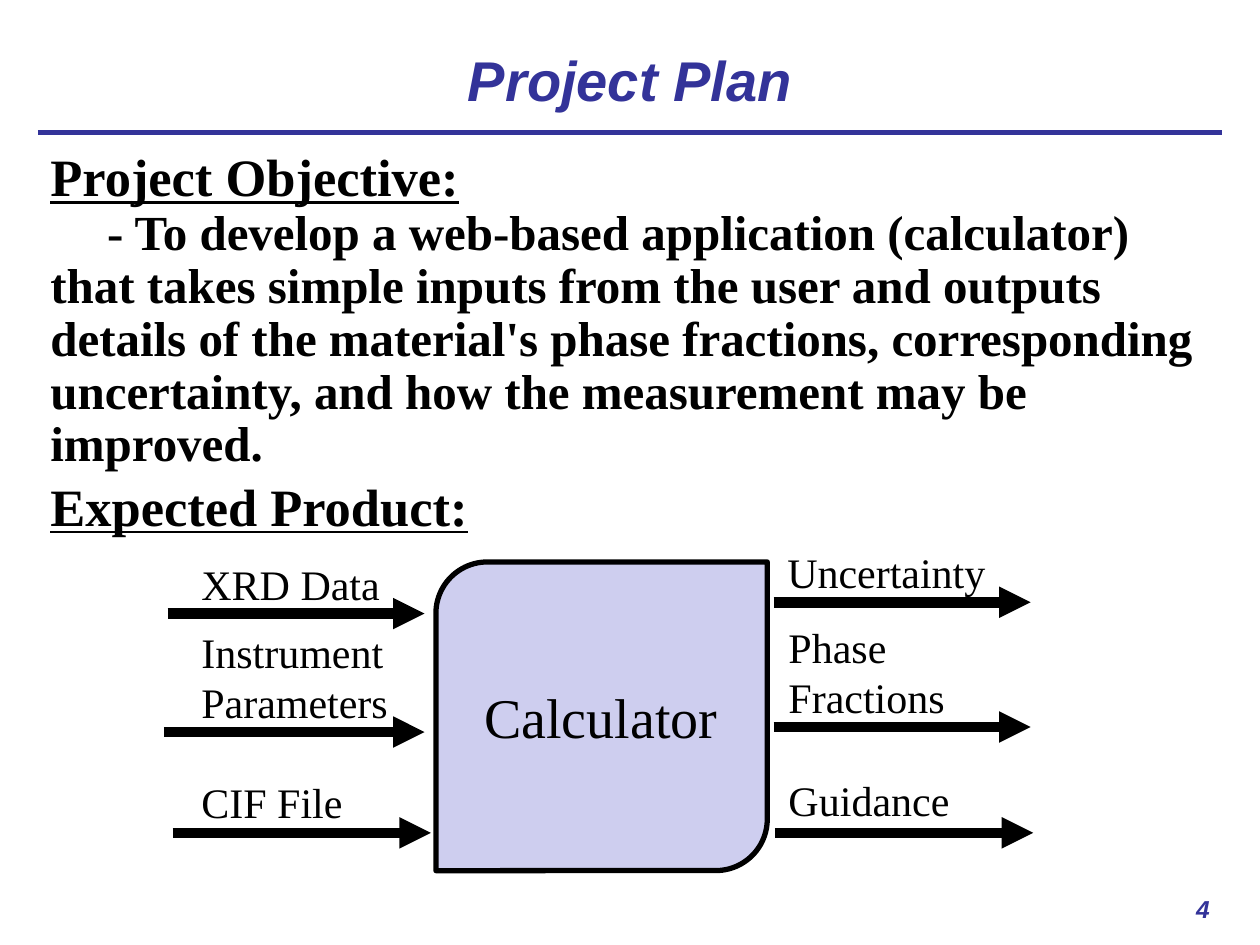
"""Build the project plan slide: objective text and a calculator with inputs and outputs."""
from dataclasses import dataclass

from lxml import etree
from pptx import Presentation
from pptx.dml.color import RGBColor
from pptx.enum.shapes import MSO_CONNECTOR, MSO_SHAPE
from pptx.enum.text import MSO_ANCHOR, MSO_AUTO_SIZE, PP_ALIGN
from pptx.oxml.ns import qn
from pptx.util import Inches, Pt

NAVY = RGBColor(0x33, 0x33, 0x99)
BLACK = RGBColor(0x00, 0x00, 0x00)
LAVENDER = RGBColor(0xCE, 0xCE, 0xEF)
LEFT, CENTER, RIGHT = PP_ALIGN.LEFT, PP_ALIGN.CENTER, PP_ALIGN.RIGHT
MIDDLE = MSO_ANCHOR.MIDDLE
NO_FIT, GROW = MSO_AUTO_SIZE.NONE, MSO_AUTO_SIZE.SHAPE_TO_FIT_TEXT
STRAIGHT = MSO_CONNECTOR.STRAIGHT
CALCULATOR_SHAPE = MSO_SHAPE.ROUND_2_DIAG_RECTANGLE
SANS, SERIF = "Arial", "Times New Roman"
COLUMNS, ROWS = 100, 75
CELL = Inches(0.1)
MARGIN = 3
OBJECTIVE = (
    "- To develop a web-based application (calculator) that takes simple inputs "
    "from the user and outputs details of the material's phase fractions, "
    "corresponding uncertainty, and how the measurement may be improved."
)


@dataclass(frozen=True)
class Area:
    """Place on the slide grid, in columns and rows."""
    column: float
    row: float
    width: float
    height: float

    def lengths(self) -> tuple[int, ...]:
        """Return left, top, width and height as lengths."""
        return tuple(round(n * CELL) for n in (self.column, self.row, self.width, self.height))


@dataclass(frozen=True)
class Flow:
    """Labelled arrow into or out of the calculator."""
    label: str
    area: Area
    start: float
    end: float
    row: float


FLOWS = (
    Flow("XRD Data", Area(15, 43.8, 22.4, 5), 13.3, 33.7, 48.7),
    Flow("Instrument Parameters", Area(15, 49.2, 18.7, 9.1), 13, 33.7, 58.1),
    Flow("CIF File", Area(15, 61.1, 16.6, 5), 13.7, 34.2, 66.1),
    Flow("Uncertainty", Area(61.5, 42.9, 22.4, 5), 61.4, 81.8, 47.8),
    Flow("Phase Fractions", Area(61.6, 48.8, 22.4, 9.1), 61.4, 81.8, 57.7),
    Flow("Guidance", Area(61.6, 61, 20.3, 5), 61.5, 82, 66.1),
)


def write(para, text: str, *, size: float, font: str = SERIF, color: RGBColor = BLACK,
          bold: bool = False, italic: bool = False, underline: bool = False,
          align: PP_ALIGN = LEFT, spacing: float = 1.0, before: float = 0) -> None:
    """Write formatted text into a paragraph."""
    para.alignment = align
    para.line_spacing = spacing
    para.space_before = Pt(before)
    span = para.add_run()
    span.text = text
    span.font.name, span.font.size = font, Pt(size)
    span.font.bold, span.font.italic, span.font.underline = bold, italic, underline
    span.font.color.rgb = color


def place(box, area: Area) -> None:
    """Move and size a box to an area of the grid."""
    box.left, box.top, box.width, box.height = area.lengths()


def remove_bullet(para, first_line: float = 0) -> None:
    """Make a list paragraph plain, with its first line indented in inches."""
    properties = para._p.get_or_add_pPr()
    properties.set("marL", "0")
    properties.set("indent", str(Inches(first_line)))
    etree.SubElement(properties, qn("a:buNone"))


def add_label(page, text: str, area: Area, *, fit: MSO_AUTO_SIZE = GROW, **style) -> None:
    """Add a wrapping text box."""
    frame = page.shapes.add_textbox(*area.lengths()).text_frame
    frame.word_wrap = True
    frame.auto_size = fit
    write(frame.paragraphs[0], text, **style)


def add_line(page, start: float, end: float, row: float, *, color: RGBColor,
             weight: float, arrow: bool = False) -> None:
    """Add a horizontal line, with an arrowhead at its end if asked."""
    x_start, x_end, y = (round(n * CELL) for n in (start, end, row))
    line = page.shapes.add_connector(STRAIGHT, x_start, y, x_end, y)
    line.line.color.rgb = color
    line.line.width = Pt(weight)
    if arrow:
        etree.SubElement(line.line._get_or_add_ln(), qn("a:tailEnd"), type="triangle")
    etree.SubElement(line._element.spPr, qn("a:effectLst"))


def fill_title(page) -> None:
    """Place and write the title."""
    title = page.shapes.title
    place(title, Area(MARGIN, 3, COLUMNS - 2 * MARGIN, 6.5))
    title.text_frame.auto_size = NO_FIT
    title.text_frame.vertical_anchor = MIDDLE
    write(title.text_frame.paragraphs[0], "Project Plan", size=32, font=SANS,
          color=NAVY, bold=True, italic=True, align=CENTER)


def fill_body(page) -> None:
    """Place the body and write the objective and product headings."""
    body = page.placeholders[1]
    place(body, Area(MARGIN, 11.5, COLUMNS - 2 * MARGIN, 59))
    frame = body.text_frame
    frame.auto_size = NO_FIT
    heading, objective, product = frame.paragraphs[0], frame.add_paragraph(), frame.add_paragraph()
    write(heading, "Project Objective:", size=30, bold=True, underline=True, spacing=0.9)
    write(objective, OBJECTIVE, size=28, bold=True, spacing=0.9)
    write(product, "Expected Product:", size=30, bold=True, underline=True,
          spacing=0.9, before=4.8)
    remove_bullet(heading)
    remove_bullet(objective, first_line=0.45)
    remove_bullet(product)


def add_calculator(page) -> None:
    """Add the calculator block with its name."""
    block = page.shapes.add_shape(CALCULATOR_SHAPE, *Area(34.6, 44.6, 26.3, 24.5).lengths())
    block.shadow.inherit = False
    block.fill.solid()
    block.fill.fore_color.rgb = LAVENDER
    block.line.color.rgb = BLACK
    block.line.width = Pt(3)
    add_label(page, "Calculator", Area(35.5, 53.7, 24.4, 6.4), size=32, align=CENTER)


def main() -> None:
    """Build and save the deck."""
    deck = Presentation()
    deck.slide_width, deck.slide_height = COLUMNS * CELL, ROWS * CELL
    page = deck.slides.add_slide(deck.slide_layouts[1])
    fill_title(page)
    add_line(page, MARGIN, COLUMNS - MARGIN, 10.5, color=NAVY, weight=3)
    fill_body(page)
    add_label(page, "4", Area(92, 70.5, 5, 3), fit=NO_FIT, size=14, font=SANS,
              color=NAVY, bold=True, italic=True, align=RIGHT)
    add_calculator(page)
    for flow in FLOWS:
        add_line(page, flow.start, flow.end, flow.row, color=BLACK, weight=6, arrow=True)
        add_label(page, flow.label, flow.area, size=24)
    deck.save("out.pptx")


if __name__ == "__main__":
    main()
